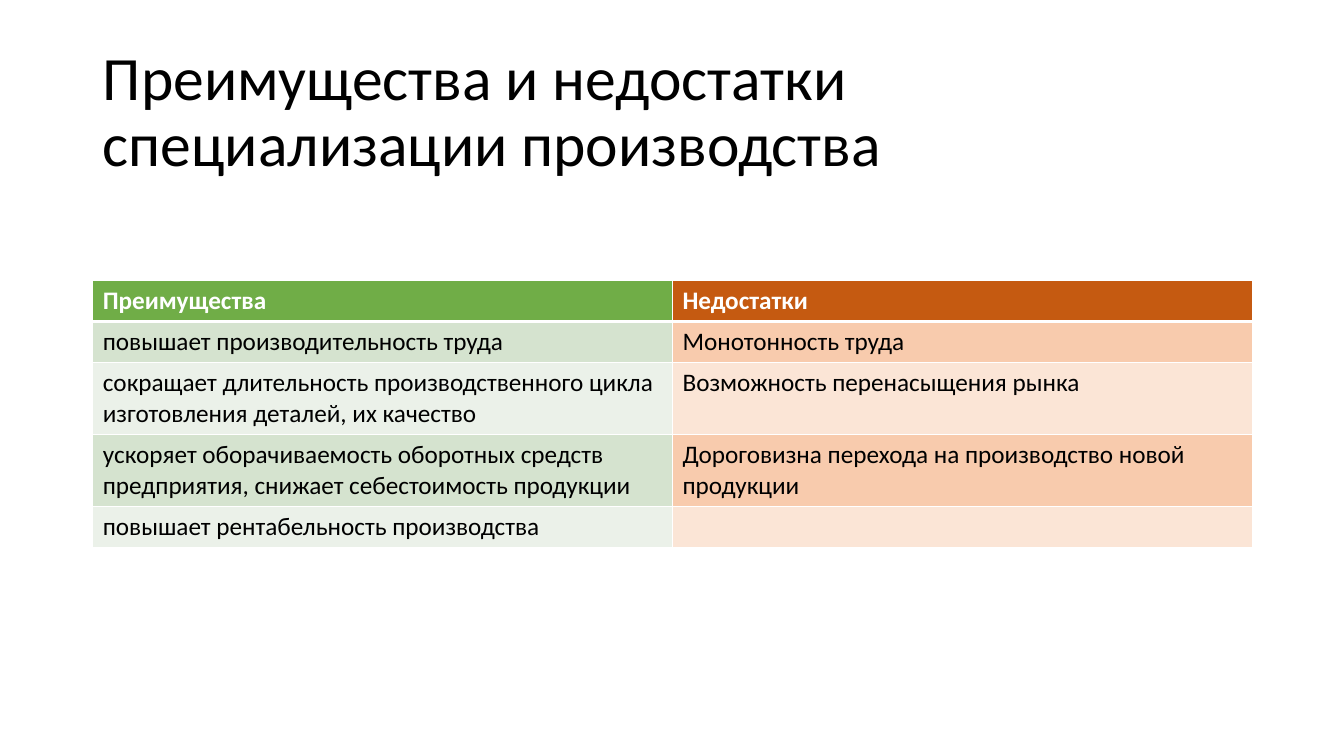
from lxml import etree
from pptx import Presentation
from pptx.dml.color import RGBColor
from pptx.enum import text
from pptx.oxml import ns
from pptx.util import Inches, Pt


def color(hex_code):
    return RGBColor.from_string(hex_code)


def add_border(cell, side, width):
    line = etree.SubElement(cell._tc.get_or_add_tcPr(), ns.qn(f"a:ln{side}"), w=str(Pt(width)))
    solid = etree.SubElement(line, ns.qn("a:solidFill"))
    etree.SubElement(solid, ns.qn("a:srgbClr"), val="FFFFFF")


prs = Presentation()
prs.slide_width, prs.slide_height = Inches(13.33), Inches(7.5)
slide = prs.slides.add_slide(prs.slide_layouts[5])

title = slide.shapes.title
title.left, title.top = Inches(0.92), Inches(0.4)
title.width, title.height = Inches(11.5), Inches(1.45)
title.text_frame.text = "Преимущества и недостатки специализации производства"
title.text_frame.vertical_anchor = text.MSO_ANCHOR.MIDDLE
heading = title.text_frame.paragraphs[0]
heading.alignment = text.PP_ALIGN.LEFT
heading.line_spacing = 0.9
heading.font.name = "Calibri"
heading.font.size = Pt(44)
heading.font.color.rgb = color("000000")

rows = [
    ("Преимущества", "Недостатки"),
    ("повышает производительность труда", "Монотонность труда"),
    ("сокращает длительность производственного цикла изготовления деталей, их качество",
     "Возможность перенасыщения рынка"),
    ("ускоряет оборачиваемость оборотных средств предприятия, снижает себестоимость продукции",
     "Дороговизна перехода на производство новой продукции"),
    ("повышает рентабельность производства", ""),
]
row_heights = [0.41, 0.41, 0.71, 0.71, 0.41]
header_fills = ["70AD47", "C55A11"]
band_fills = [("D5E3CF", "F8CBAD"), ("EBF1E9", "FBE5D6")]

comparison = slide.shapes.add_table(
    len(rows), 2, Inches(0.92), Inches(2.78), Inches(11.5), Inches(sum(row_heights))).table
for column in comparison.columns:
    column.width = Inches(5.75)

for r, (entries, height) in enumerate(zip(rows, row_heights)):
    comparison.rows[r].height = Inches(height)
    is_header = r == 0
    fills = header_fills if is_header else band_fills[(r - 1) % 2]
    for c, (entry, fill) in enumerate(zip(entries, fills)):
        cell = comparison.cell(r, c)
        for side in "LRTB":
            under_header = (r, side) in [(0, "B"), (1, "T")]
            add_border(cell, side, 3 if under_header else 1)
        cell.fill.solid()
        cell.fill.fore_color.rgb = color(fill)
        cell.text = entry
        font = cell.text_frame.paragraphs[0].font
        font.name = "Calibri"
        font.size = Pt(18)
        font.bold = is_header
        font.color.rgb = color("FFFFFF" if is_header else "000000")

prs.save("out.pptx")
